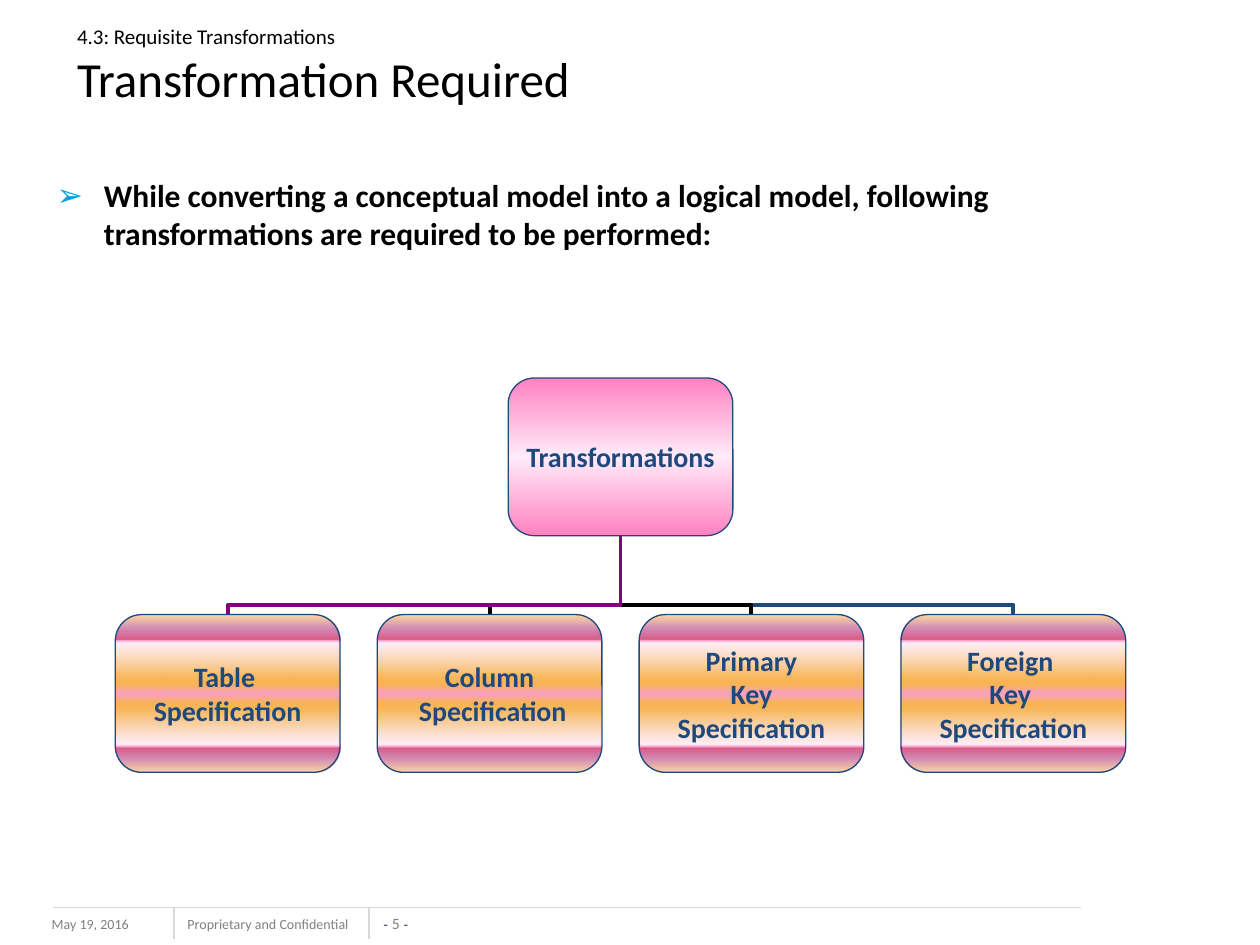
"""Build a slide showing the transformations from a conceptual to a logical model."""
from dataclasses import dataclass

from lxml.etree import SubElement
from pptx import Presentation
from pptx.dml.color import RGBColor
from pptx.enum.shapes import MSO_CONNECTOR as Link, MSO_SHAPE as Shape
from pptx.enum.text import MSO_ANCHOR as Anchor, MSO_AUTO_SIZE as AutoSize, PP_ALIGN as Align
from pptx.oxml.ns import qn
from pptx.util import Cm, Pt


@dataclass(frozen=True)
class Theme:
    font: str = "Calibri"
    mark_font: str = "Arial"
    black: str = "000000"
    navy: str = "1F497D"
    purple: str = "800080"
    grey: str = "808080"
    rule: str = "D9D9D9"
    bullet: str = "00A1E4"
    title_size: int = 28
    section_size: int = 12
    gap_size: int = 10
    body_size: int = 18
    box_size: int = 16
    footer_size: int = 8
    number_size: int = 9
    thin: float = 0.75
    thick: float = 2.25


THEME = Theme()
SECTION = "4.3: Requisite Transformations"
TITLE = "Transformation Required"
BODY = ("While converting a conceptual model into a logical model, "
        "following transformations are required to be performed:")
ROOT = ["Transformations"]
CHILDREN = [
    (["Table ", "Specification"], THEME.purple),
    (["Column", " Specification"], THEME.black),
    (["Primary", " Key ", "Specification"], THEME.black),
    (["Foreign ", "Key ", "Specification"], THEME.navy),
]
FOOTERS = [("May 19, 2016", 0.79, 3.38), ("Proprietary and Confidential", 3.53, 3.99)]
PAGE_NUMBER = [("- ", THEME.mark_font, THEME.footer_size, THEME.navy),
               ("5 ", THEME.font, THEME.number_size, THEME.grey),
               ("-", THEME.mark_font, THEME.footer_size, THEME.navy)]
RULES = [(1.07, 18.29, 21.79, 18.29), (3.51, 18.29, 3.51, 18.92), (7.44, 18.29, 7.44, 18.92)]
ROOT_STOPS = [(0, "FF81C0", 100), (50, "FFEBFA", 100), (100, "FF81C0", 100)]
HALF_STOPS = [(0, "F8B049", 51), (9, "B43E85", 60), (16, "C50849", 66), (16, "F952A0", 67),
              (18, "FEE7F2", 69), (40, "F8B049", 90), (44, "F8B049", 94)]
CHILD_STOPS = (HALF_STOPS + [(50, "FC9FCB", 100)]
               + [(100 - place, color, alpha) for place, color, alpha in reversed(HALF_STOPS)])

BOX_WIDTH, BOX_HEIGHT, PITCH = 4.53, 3.18, 5.28
CENTER, ROOT_TOP, CHILD_TOP = 12.51, 7.62, 12.39
ELBOW_ADJUST = 12300


def add_text(para, text, size, color=THEME.black, font=THEME.font, bold=False):
    span = para.add_run()
    span.text = text
    span.font.size = Pt(size)
    span.font.name = font
    span.font.bold = bold
    span.font.color.rgb = RGBColor.from_string(color)


def place(shape, left, top, width, height):
    shape.left, shape.top, shape.width, shape.height = map(Cm, (left, top, width, height))


def clear_insets(frame):
    frame.margin_left = frame.margin_right = frame.margin_top = frame.margin_bottom = 0


def style_line(connector, color, width):
    connector.line.color.rgb = RGBColor.from_string(color)
    connector.line.width = Pt(width)
    SubElement(connector._element.spPr, qn("a:effectLst"))


def fill_gradient(shape, stops):
    shape.fill.gradient()
    shape.fill.gradient_angle = 270
    stop_list = shape._element.spPr.find(".//" + qn("a:gsLst"))
    for old in list(stop_list):
        stop_list.remove(old)
    for position, color, alpha in stops:
        stop = SubElement(stop_list, qn("a:gs"), pos=str(position * 1000))
        tint = SubElement(stop, qn("a:srgbClr"), val=color)
        if alpha < 100:
            SubElement(tint, qn("a:alpha"), val=str(alpha * 1000))


def add_box(page, lines, center, top, stops):
    box = page.shapes.add_shape(Shape.ROUNDED_RECTANGLE, Cm(center - BOX_WIDTH / 2), Cm(top),
                                Cm(BOX_WIDTH), Cm(BOX_HEIGHT))
    box.shadow.inherit = False
    fill_gradient(box, stops)
    box.line.color.rgb = RGBColor.from_string(THEME.navy)
    box.line.width = Pt(THEME.thin)
    frame = box.text_frame
    frame.word_wrap = False
    frame.vertical_anchor = Anchor.MIDDLE
    clear_insets(frame)
    for index, line in enumerate(lines):
        para = frame.add_paragraph() if index else frame.paragraphs[0]
        para.alignment = Align.CENTER
        add_text(para, line, THEME.box_size, THEME.navy, bold=True)


def add_elbow(page, center, color):
    rise = CHILD_TOP - ROOT_TOP - BOX_HEIGHT
    spread = abs(CENTER - center)
    left = (CENTER + center - rise) / 2
    top = CHILD_TOP - (rise + spread) / 2
    elbow = page.shapes.add_connector(Link.ELBOW, Cm(left), Cm(top),
                                      Cm(left + rise), Cm(top + spread))
    properties = elbow._element.spPr
    transform = properties.find(qn("a:xfrm"))
    to_right = center > CENTER
    transform.set("rot", str((90 if to_right else 270) * 60000))
    if to_right:
        transform.set("flipH", "1")
    guides = properties.find(qn("a:prstGeom")).get_or_add_avLst()
    SubElement(guides, qn("a:gd"), name="adj1", fmla=f"val {ELBOW_ADJUST}")
    style_line(elbow, color, THEME.thick)


def add_title(page):
    title = page.shapes.title
    place(title, 1.3, 0.33, 22.86, 1.98)
    frame = title.text_frame
    frame.auto_size = AutoSize.NONE
    frame.vertical_anchor = Anchor.MIDDLE
    para = frame.paragraphs[0]
    para.alignment = Align.LEFT
    add_text(para, SECTION, THEME.section_size)
    add_text(para, " ", THEME.gap_size)
    para.add_line_break()
    add_text(para, TITLE, THEME.title_size)


def add_body(page):
    body = page.placeholders[1]
    place(body, 0.89, 3.43, 23.44, 12.14)
    body.text_frame.auto_size = AutoSize.NONE
    para = body.text_frame.paragraphs[0]
    para.space_before = Pt(THEME.body_size * 0.2)
    add_text(para, BODY, THEME.body_size, bold=True)
    properties = para._p.get_or_add_pPr()
    properties.set("marL", str(Cm(0.95)))
    properties.set("indent", str(-Cm(0.95)))
    SubElement(SubElement(properties, qn("a:buClr")), qn("a:srgbClr"), val=THEME.bullet)
    SubElement(properties, qn("a:buFont"), typeface=THEME.mark_font)
    SubElement(properties, qn("a:buChar"), char="➢")


def add_footer(page):
    for text, left, width in FOOTERS:
        box = page.shapes.add_textbox(Cm(left), Cm(18.34), Cm(width), Cm(0.62))
        add_text(box.text_frame.paragraphs[0], text, THEME.footer_size, THEME.grey)
    number = page.shapes.add_textbox(Cm(7.65), Cm(18.42), Cm(0.66), Cm(0.38))
    number.text_frame.vertical_anchor = Anchor.BOTTOM
    clear_insets(number.text_frame)
    para = number.text_frame.paragraphs[0]
    para.alignment = Align.CENTER
    for text, font, size, color in PAGE_NUMBER:
        add_text(para, text, size, color, font)
    for ends in RULES:
        style_line(page.shapes.add_connector(Link.STRAIGHT, *map(Cm, ends)),
                   THEME.rule, THEME.thin)


def main():
    deck = Presentation()
    deck.slide_width, deck.slide_height = Cm(25.4), Cm(19.05)
    page = deck.slides.add_slide(deck.slide_layouts[1])
    add_footer(page)
    add_title(page)
    add_body(page)
    middle = (len(CHILDREN) - 1) / 2
    centers = [CENTER + (index - middle) * PITCH for index in range(len(CHILDREN))]
    for center, (_, color) in reversed(list(zip(centers, CHILDREN))):
        add_elbow(page, center, color)
    add_box(page, ROOT, CENTER, ROOT_TOP, ROOT_STOPS)
    for center, (lines, _) in zip(centers, CHILDREN):
        add_box(page, lines, center, CHILD_TOP, CHILD_STOPS)
    deck.save("out.pptx")


if __name__ == "__main__":
    main()
